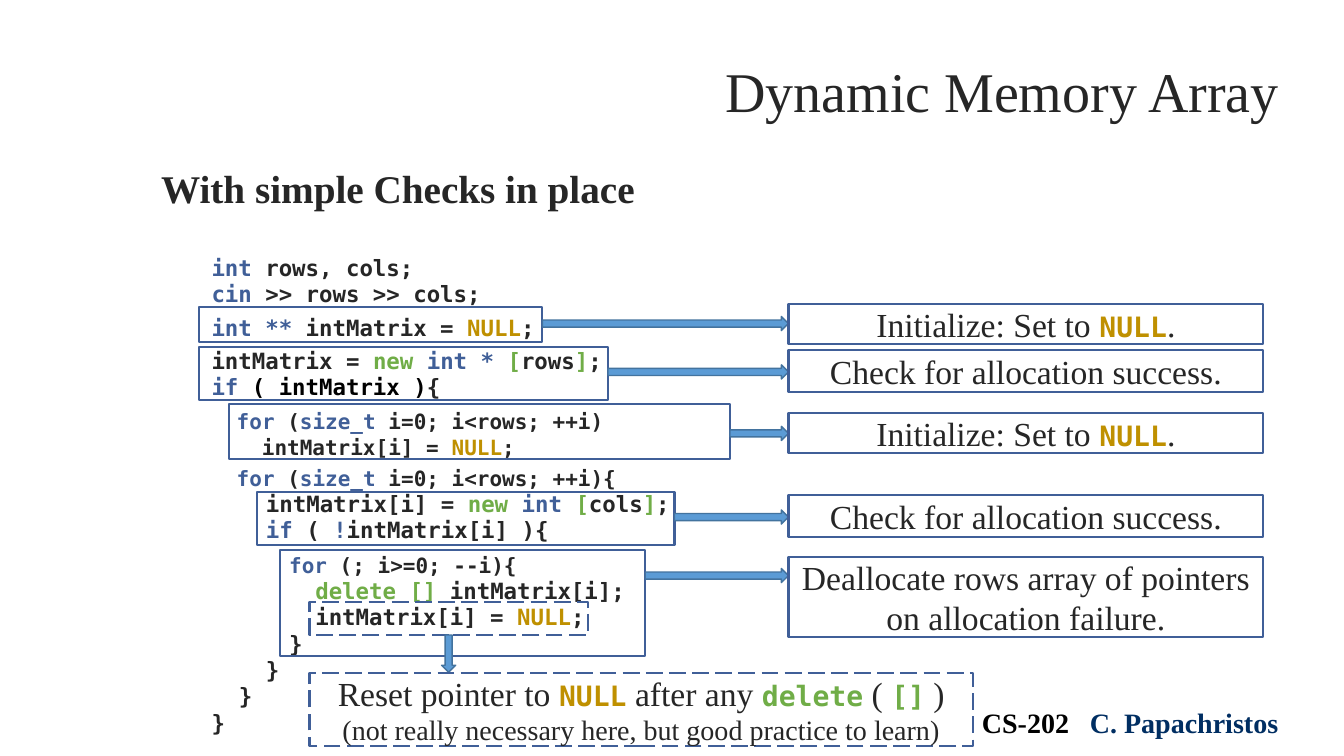
from pptx import Presentation
from pptx.dml.color import RGBColor
from pptx.enum.dml import MSO_LINE
from pptx.enum.shapes import MSO_SHAPE
from pptx.enum.text import MSO_ANCHOR, PP_ALIGN
from pptx.oxml.ns import qn
from pptx.util import Pt
from lxml.etree import SubElement

PX = 9144  # 100 px to the inch
SERIF, MONO = "Times New Roman", "DejaVu Sans Mono"
COLOURS = {
    "text": "262626", "black": "000000", "author": "002E62",
    "keyword": "405F98", "memory": "70AD47", "null": "BF9000",
    "frame": "405F98", "arrow": "5B9BD5", "arrow_edge": "43739E",
}
NULL = ("NULL", "null")
ROW_LOOP = [("for", "keyword"), " (", ("size_t ", "keyword"), "i=0; i<rows; ++i)"]

# Each line: indent in px, space before in points, font size, runs
CODE = [
    (50, 31, 16, [("int ", "keyword"), "rows, cols;"]),
    (50, 0, 16, [("cin ", "keyword"), ">> rows >> cols;"]),
    (50, 5, 16, [("int ** ", "keyword"), "intMatrix = ", NULL, ";"]),
    (50, 5, 16, ["intMatrix = ", ("new ", "memory"), ("int * ", "keyword"),
                 ("[", "memory"), "rows", ("]", "memory"), ";"]),
    (50, 0, 16, [("if ", "keyword"), ("( intMatrix )", "black"), "{"]),
    (75, 5, 15, ROW_LOOP),
    (100, 0, 15, ["intMatrix[i] = ", NULL, ";"]),
    (75, 3, 15, ROW_LOOP + ["{"]),
    (104, 0, 16, ["intMatrix[i] = ", ("new ", "memory"), ("int ", "keyword"),
                  ("[", "memory"), "cols", ("]", "memory"), ";"]),
    (104, 0, 16, [("if", "keyword"), " ( ", ("!", "keyword"), "intMatrix[i] ){"]),
    (127, 6, 15, [("for", "keyword"), " (; i>=0; --i){"]),
    (153, 0, 16, [("delete [] ", "memory"), "intMatrix[i];"]),
    (153, 0, 16, ["intMatrix[i] = ", NULL, ";"]),
    (127, 0, 16, ["}"]),
    (104, 0, 16, ["}"]),
    (77, 0, 16, ["}"]),
    (50, 0, 16, ["}"]),
]

INITIALIZE = ["Initialize: Set to ", NULL, "."]
CHECK = ["Check for allocation success."]
DEALLOCATE = ["Deallocate rows array of pointers on allocation failure."]
# Each step: code frame, arrow top, note top, note height, note runs
STEPS = [
    ((197, 305, 341, 34), 314, 302, 39, INITIALIZE),
    ((197, 344, 406, 53), 362, 347, 42, CHECK),
    ((227, 401, 497, 54), 423, 410, 39, INITIALIZE),
    ((255, 488, 414, 53), 506, 491, 42, CHECK),
    ((278, 546, 362, 105), 564, 553, 79, DEALLOCATE),
]
RESET = ["Reset pointer to ", NULL, " after any ", ("delete", "memory"),
         " ( ", ("[]", "memory"), " )"]
RESET_REMARK = ["(not really necessary here, but good practice to learn)"]


def colour(name):
    return RGBColor.from_string(COLOURS[name])


def add_runs(paragraph, pieces, size, font=SERIF, bold=False):
    """Write plain strings in the text colour and (text, colour) pairs in theirs."""
    for piece in pieces:
        text, colour_name = (piece, "text") if isinstance(piece, str) else piece
        run = paragraph.add_run()
        run.text = text
        run.font.name, run.font.size, run.font.bold = font, Pt(size), bold
        run.font.color.rgb = colour(colour_name)


def add_note_runs(paragraph, pieces, size=24):
    """Write note text in serif, with its coloured code words in bold mono."""
    for piece in pieces:
        if isinstance(piece, str):
            add_runs(paragraph, [piece], size)
        else:
            add_runs(paragraph, [piece], 20, MONO, True)


def add_text_box(slide, box):
    text_frame = slide.shapes.add_textbox(*(length * PX for length in box)).text_frame
    text_frame.word_wrap = True
    return text_frame


def add_frame(slide, box, dashed=False):
    shape = slide.shapes.add_shape(MSO_SHAPE.RECTANGLE, *(length * PX for length in box))
    shape.shadow.inherit = False
    shape.fill.background()
    shape.line.color.rgb = colour("frame")
    shape.line.width = Pt(1.5)
    if dashed:
        shape.line.dash_style = MSO_LINE.LONG_DASH
    return shape


def add_note(slide, box, lines, dashed=False):
    """Add a framed note; lines holds (runs, size) pairs."""
    text_frame = add_frame(slide, box, dashed).text_frame
    text_frame.word_wrap = True
    text_frame.vertical_anchor = MSO_ANCHOR.MIDDLE
    text_frame.margin_top = text_frame.margin_bottom = 0
    for number, (pieces, size) in enumerate(lines):
        paragraph = text_frame.add_paragraph() if number else text_frame.paragraphs[0]
        paragraph.alignment = PP_ALIGN.CENTER
        add_note_runs(paragraph, pieces, size)


def add_arrow(slide, kind, box):
    shape = slide.shapes.add_shape(kind, *(length * PX for length in box))
    shape.shadow.inherit = False
    shape.fill.solid()
    shape.fill.fore_color.rgb = colour("arrow")
    shape.line.color.rgb = colour("arrow_edge")
    shape.line.width = Pt(1)


def add_title(slide, box):
    text_frame = add_text_box(slide, box)
    text_frame.vertical_anchor = MSO_ANCHOR.BOTTOM
    paragraph = text_frame.paragraphs[0]
    paragraph.alignment = PP_ALIGN.RIGHT
    add_runs(paragraph, ["Dynamic Memory Array"], 40)


def add_footer(slide, box):
    paragraph = add_text_box(slide, box).paragraphs[0]
    add_runs(paragraph, [("CS-202\t", "black"), ("C. Papachristos", "author")], 20, bold=True)
    tab_list = SubElement(paragraph._p.get_or_add_pPr(), qn("a:tabLst"))
    SubElement(tab_list, qn("a:tab"), pos=str(107 * PX), algn="l")


def add_code(slide, box):
    text_frame = add_text_box(slide, box)
    add_runs(text_frame.paragraphs[0], ["With simple Checks in place"], 28, bold=True)
    for indent, space, size, pieces in CODE:
        paragraph = text_frame.add_paragraph()
        paragraph.line_spacing = Pt(18.8)
        paragraph.space_before = Pt(space)
        paragraph._p.get_or_add_pPr().set("marL", str(indent * PX))
        add_runs(paragraph, pieces, size, MONO, True)


def add_steps(slide, note_left, note_width):
    for frame, arrow_top, note_top, note_height, pieces in STEPS:
        add_frame(slide, frame)
        right = frame[0] + frame[2]
        add_arrow(slide, MSO_SHAPE.RIGHT_ARROW, (right, arrow_top, note_left - right, 14))
        add_note(slide, (note_left, note_top, note_width, note_height), [(pieces, 24)])


def add_reset(slide, box):
    """Add the reset note, with the code line it explains above it."""
    left, top, width, height = box
    add_frame(slide, (left, top - 71, 276, 33), dashed=True)
    add_arrow(slide, MSO_SHAPE.DOWN_ARROW, (left + 131, top - 38, 14, 37))
    add_note(slide, box, [(RESET, 24), (RESET_REMARK, 20)], dashed=True)


def main():
    presentation = Presentation()
    presentation.slide_width, presentation.slide_height = 1333 * PX, 750 * PX
    slide = presentation.slides.add_slide(presentation.slide_layouts[6])
    add_title(slide, (106, 57, 1172, 71))
    add_footer(slide, (964, 695, 329, 44))
    add_code(slide, (150, 158, 1143, 524))
    add_steps(slide, note_left=782, note_width=471)
    add_reset(slide, (307, 668, 658, 72))
    presentation.save("out.pptx")


if __name__ == "__main__":
    main()
